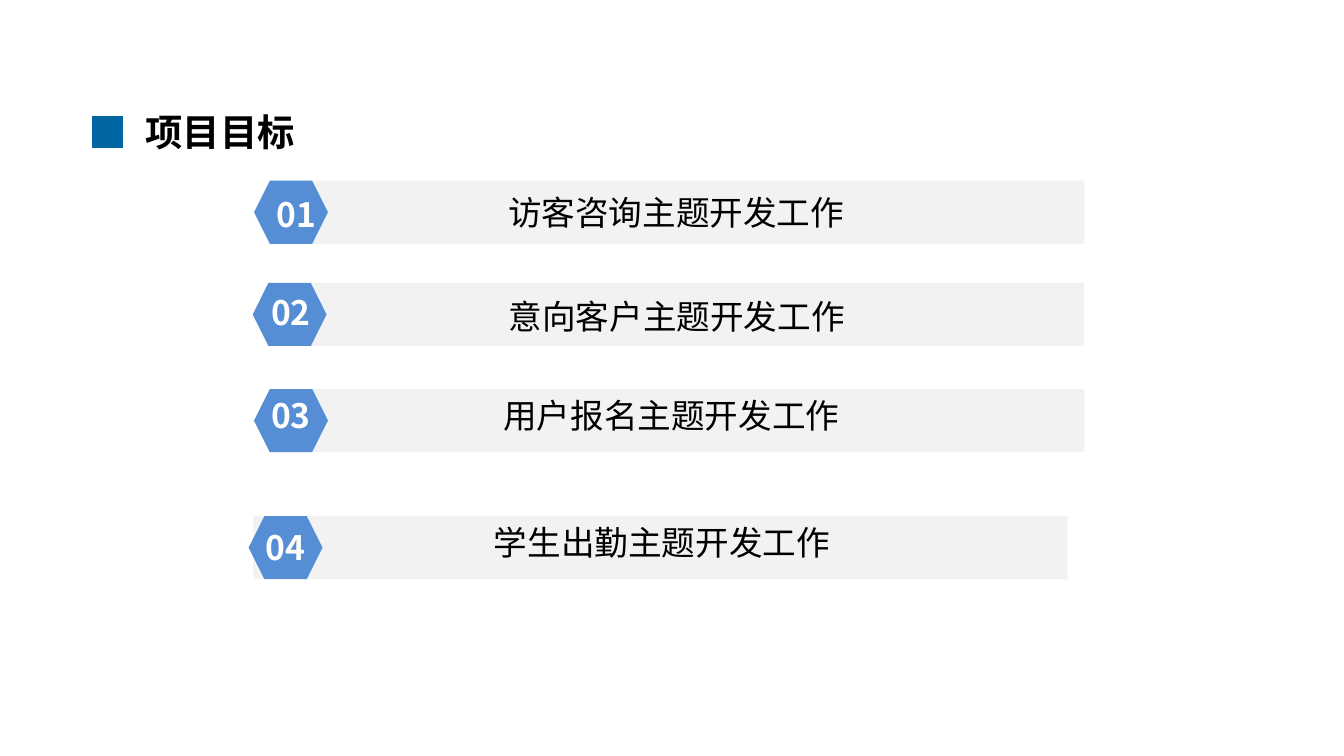
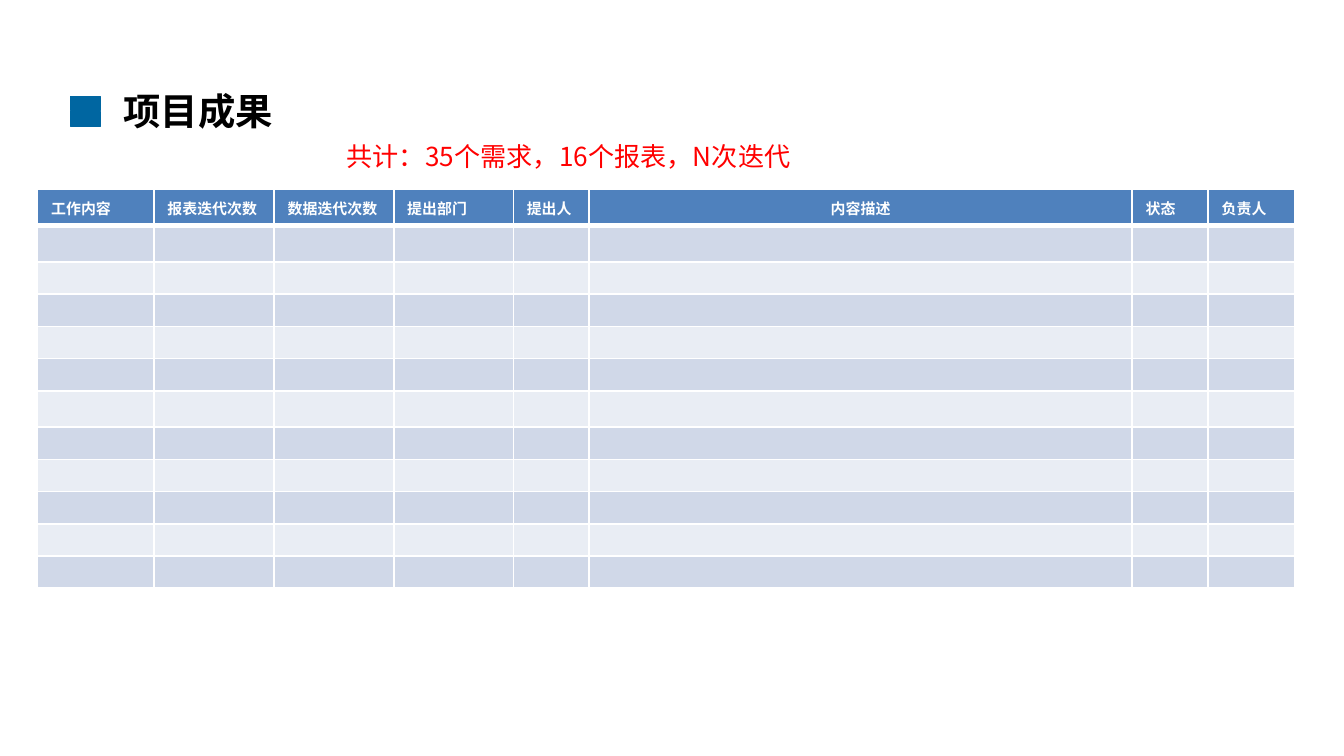
from itertools import product

from lxml import etree
from pptx import Presentation
from pptx.dml.color import RGBColor
from pptx.enum import shapes, text
from pptx.oxml.ns import qn
from pptx.util import Pt

# Shared style: 200 px to the inch
PX = 4572
FONT = "Noto Sans CJK SC"
BLACK, WHITE, RED = "000000", "FFFFFF", "FF0000"
MARKER, BAR, BADGE = "0066A1", "F2F2F2", "558ED5"
HEADER, BAND_DARK, BAND_LIGHT = "4F81BD", "D0D8E8", "E9EDF4"
LEFT, CENTER = text.PP_ALIGN.LEFT, text.PP_ALIGN.CENTER
RECT, HEXAGON = shapes.MSO_SHAPE.RECTANGLE, shapes.MSO_SHAPE.HEXAGON

# Goals: label, top, and lefts of bar and badge, then corners of number and label
GOALS = [
    ("访客咨询主题开发工作", 269, 402, 378, (386, 279), (565, 276)),
    ("意向客户主题开发工作", 421, 401, 376, (378, 424), (566, 430)),
    ("用户报名主题开发工作", 579, 402, 378, (378, 578), (558, 578)),
    ("学生出勤主题开发工作", 768, 377, 370, (370, 774), (544, 767)),
]

# Result table: header and column width
COLUMNS = [
    ("工作内容", 173), ("报表迭代次数", 179), ("数据迭代次数", 178), ("提出部门", 178),
    ("提出人", 113), ("内容描述", 808), ("状态", 113), ("负责人", 129),
]
ROW_COUNT, ROW_HEIGHT, TALL_ROW = 12, 48, 54
TALL_ROWS = (0, 1, 6)


def px(*values):
    return [v * PX for v in values]


def color(hex_code):
    return RGBColor.from_string(hex_code)


def add_run(p, content, size, hex_code, bold=False):
    r = p.add_run()
    r.text = content
    r.font.size = Pt(size)
    r.font.bold = bold
    r.font.name = FONT
    r.font.color.rgb = color(hex_code)
    etree.SubElement(r._r.get_or_add_rPr(), qn("a:ea"), typeface=FONT)


def add_text(slide, box, content, size, hex_code, bold=False, align=LEFT):
    tf = slide.shapes.add_textbox(*px(*box)).text_frame
    tf.word_wrap = True
    tf.auto_size = text.MSO_AUTO_SIZE.SHAPE_TO_FIT_TEXT
    p = tf.paragraphs[0]
    p.alignment = align
    add_run(p, content, size, hex_code, bold)


def add_block(parent, kind, box, fill, line=None):
    sp = parent.shapes.add_shape(kind, *px(*box))
    sp.shadow.inherit = False
    sp.fill.solid()
    sp.fill.fore_color.rgb = color(fill)
    if line:
        sp.line.color.rgb = color(line)
        sp.line.width = Pt(0.5)
    else:
        sp.line.fill.background()


def add_title(slide, x, y, content):
    add_text(slide, (x, y, 1308, 88), content, 20, BLACK, bold=True)
    marker = slide.shapes.add_group_shape()
    for row, col in product(range(2), repeat=2):
        box = (x - 59 + 22 * col, y + 21 + 23 * row, 22, 22)
        add_block(marker, RECT, box, MARKER, MARKER)


def add_goal(slide, number, label, top, bar_x, badge_x, number_at, label_at):
    add_block(slide, RECT, (bar_x, top, 1212, 94), BAR)
    add_block(slide, HEXAGON, (badge_x, top, 110, 94), BADGE)
    add_text(slide, (*number_at, 110, 80), f"{number:02}", 18, WHITE, True, CENTER)
    add_text(slide, (*label_at, 882, 80), label, 18, BLACK, align=CENTER)


def set_borders(cell, row):
    tc_pr = cell._tc.get_or_add_tcPr()
    widths = {"L": 1, "R": 1, "T": 3 if row == 1 else 1, "B": 3 if row == 0 else 1}
    for side, width in widths.items():
        ln = etree.SubElement(tc_pr, qn(f"a:ln{side}"), w=str(Pt(width)))
        fill = etree.SubElement(ln, qn("a:solidFill"))
        etree.SubElement(fill, qn("a:srgbClr"), val=WHITE)


def fill_cell(cell, row, label):
    set_borders(cell, row)
    cell.fill.solid()
    band = BAND_DARK if row % 2 else BAND_LIGHT
    cell.fill.fore_color.rgb = color(band if row else HEADER)
    cell.vertical_anchor = text.MSO_ANCHOR.MIDDLE
    cell.margin_top = cell.margin_bottom = 6 * PX
    p = cell.text_frame.paragraphs[0]
    if row == 0:
        p.alignment = CENTER if label == "内容描述" else LEFT
        add_run(p, label, 8, WHITE, bold=True)
    else:
        # A small end mark keeps empty rows at their set height
        etree.SubElement(p._p, qn("a:endParaRPr"), sz="800")


def add_results(slide, x, y):
    heights = [TALL_ROW if i in TALL_ROWS else ROW_HEIGHT for i in range(ROW_COUNT)]
    width = sum(w for _, w in COLUMNS)
    table = slide.shapes.add_table(
        ROW_COUNT, len(COLUMNS), *px(x, y, width, sum(heights))).table
    table.horz_banding = False
    for row, height in enumerate(heights):
        table.rows[row].height = height * PX
    for col, (label, col_width) in enumerate(COLUMNS):
        table.columns[col].width = col_width * PX
        for row in range(ROW_COUNT):
            fill_cell(table.cell(row, col), row, label)


def main():
    prs = Presentation()
    prs.slide_width, prs.slide_height = px(2000, 1125)
    blank = prs.slide_layouts[6]

    # Project goals
    slide = prs.slides.add_slide(blank)
    add_title(slide, 197, 153, "项目目标")
    for number, goal in enumerate(GOALS, 1):
        add_goal(slide, number, *goal)

    # Project results
    slide = prs.slides.add_slide(blank)
    add_title(slide, 164, 122, "项目成果")
    add_results(slide, 56, 282)
    add_text(slide, (496, 199, 1174, 68), "共计：35个需求，16个报表，N次迭代", 14, RED)

    prs.save("out.pptx")


if __name__ == "__main__":
    main()
